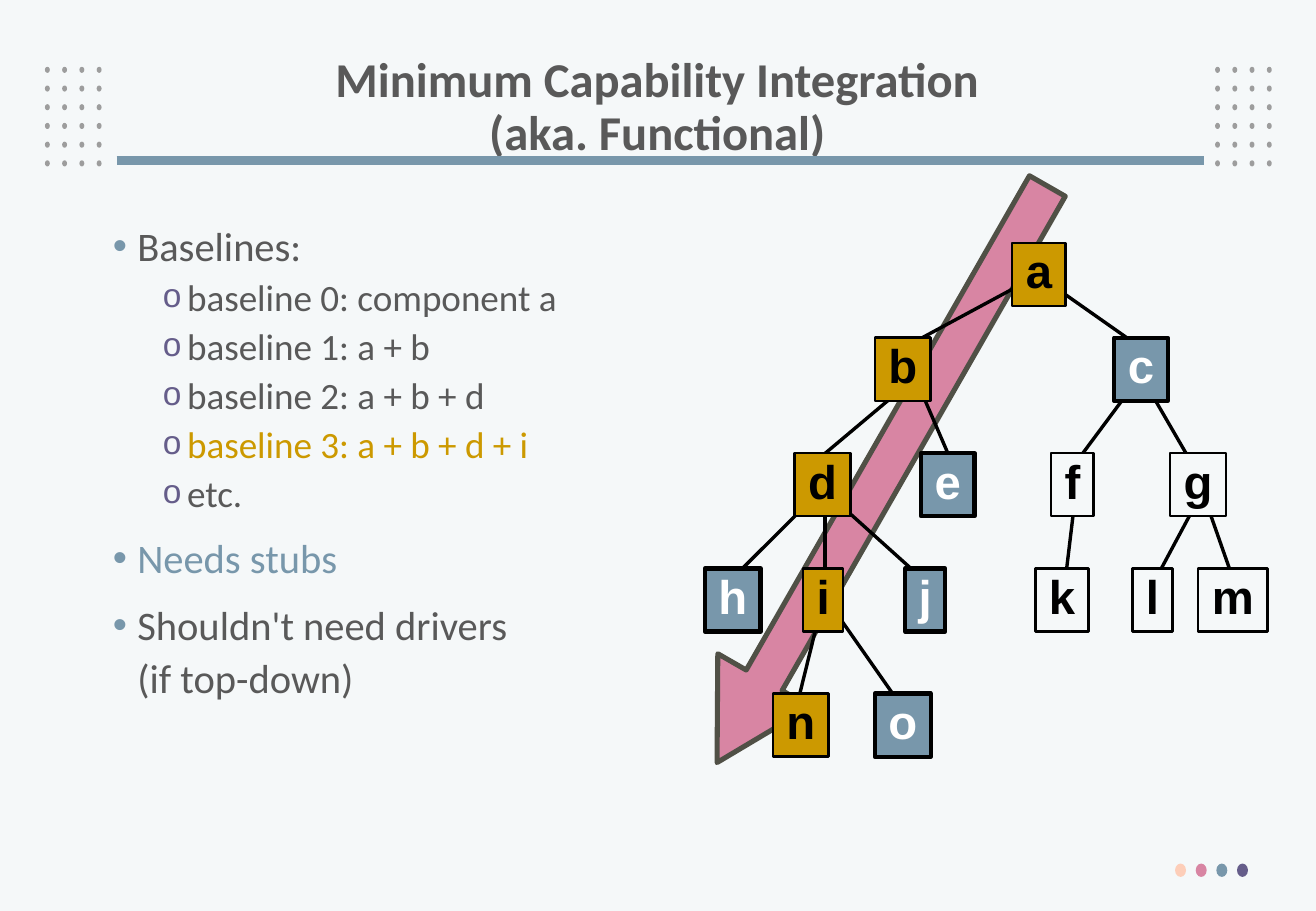
from copy import deepcopy
from dataclasses import dataclass

from lxml import etree
from pptx import Presentation
from pptx import util as u
from pptx.dml import color
from pptx.enum import shapes, text
from pptx.oxml import ns


@dataclass(frozen=True)
class Theme:
    paper: str = "F5F8F9"
    ink: str = "595959"
    blue: str = "7897AB"
    gold: str = "CC9900"
    pink: str = "D885A3"
    plum: str = "655D8A"
    peach: str = "FDCEB9"
    gray: str = "9D9D9D"
    edge: str = "505046"
    black: str = "000000"
    white: str = "FFFFFF"
    font: str = "Calibri"
    label: str = "Arial"
    head: float = 28.8
    main: float = 24
    sub: float = 22
    node: float = 28


def rgb(code):
    return color.RGBColor.from_string(code)


class Page:
    """One slide on a grid of 0.1 inch columns and rows."""
    cell = u.Inches(0.1)

    def __init__(self, deck, theme):
        self.theme = theme
        self.slide = deck.slides.add_slide(deck.slide_layouts[1])
        fill = self.slide.background.fill
        fill.solid()
        fill.fore_color.rgb = rgb(theme.paper)

    def grid(self, *nums):
        return [round(n * self.cell) for n in nums]

    def style(self, para, size, code, font, bold=False):
        for run in para.runs:
            run.font.size = u.Pt(size)
            run.font.name = font
            run.font.bold = bold
            run.font.color.rgb = rgb(code)
        for brk in para._p.findall(ns.qn("a:br")):
            brk.append(deepcopy(para.runs[0]._r.rPr))

    def place(self, item, col, row, wide, high):
        item.left, item.top, item.width, item.height = self.grid(
            col, row, wide, high)

    def title(self, words, *area):
        item = self.slide.shapes.title
        self.place(item, *area)
        frame = item.text_frame
        frame.auto_size = text.MSO_AUTO_SIZE.NONE
        frame.vertical_anchor = text.MSO_ANCHOR.MIDDLE
        para = frame.paragraphs[0]
        para.text = words
        para.alignment = text.PP_ALIGN.CENTER
        para.line_spacing = 0.9
        self.style(para, self.theme.head, self.theme.ink, self.theme.font, True)

    def bullet(self, para, level):
        mark, code, left, size = (
            ("•", self.theme.blue, 0.2, 100),
            ("o", self.theme.plum, 0.61, 90))[level]
        props = para._p.get_or_add_pPr()
        props.set("marL", str(u.Inches(left)))
        props.set("indent", str(-u.Inches(0.2)))
        tint = etree.SubElement(props, ns.qn("a:buClr"))
        etree.SubElement(tint, ns.qn("a:srgbClr"), val=code)
        etree.SubElement(props, ns.qn("a:buSzPct"), val=str(size * 1000))
        etree.SubElement(props, ns.qn("a:buFont"), typeface=self.theme.label)
        etree.SubElement(props, ns.qn("a:buChar"), char=mark)

    def body(self, items, *area):
        item = self.slide.placeholders[1]
        self.place(item, *area)
        frame = item.text_frame
        frame.auto_size = text.MSO_AUTO_SIZE.NONE
        frame.vertical_anchor = text.MSO_ANCHOR.TOP
        for num, (level, words, code) in enumerate(items):
            para = frame.add_paragraph() if num else frame.paragraphs[0]
            para.text = words
            para.level = level
            para.line_spacing = 1.1
            para.space_before = u.Pt(0 if level else 8.1)
            self.bullet(para, level)
            size = self.theme.sub if level else self.theme.main
            self.style(para, size, code, self.theme.font)

    def shape(self, kind, area, code, line=None, width=1.5):
        item = self.slide.shapes.add_shape(kind, *self.grid(*area))
        item.shadow.inherit = False
        item.fill.solid()
        item.fill.fore_color.rgb = rgb(code)
        if line:
            item.line.color.rgb = rgb(line)
            item.line.width = u.Pt(width)
        else:
            item.line.fill.background()
        return item

    def dot(self, col, row, wide, high, code):
        self.shape(shapes.MSO_SHAPE.OVAL, (col, row, wide, high), code)

    def line(self, ends, code, width):
        item = self.slide.shapes.add_connector(
            shapes.MSO_CONNECTOR.STRAIGHT, *self.grid(*ends))
        item.line.color.rgb = rgb(code)
        item.line.width = u.Pt(width)
        etree.SubElement(item._element.spPr, ns.qn("a:effectLst"))

    def node(self, name, col, row, wide, code):
        blue = code == self.theme.blue
        item = self.shape(shapes.MSO_SHAPE.RECTANGLE, (col, row, wide, 5.2),
                          code, self.theme.black, 2.5 if blue else 1.5)
        frame = item.text_frame
        frame.word_wrap = False
        frame.vertical_anchor = text.MSO_ANCHOR.MIDDLE
        para = frame.paragraphs[0]
        para.text = name
        para.alignment = text.PP_ALIGN.CENTER
        para.line_spacing = 0.85
        ink = self.theme.white if blue else self.theme.black
        self.style(para, self.theme.node, ink, self.theme.label, True)


def main():
    look = Theme()
    deck = Presentation()
    deck.slide_width, deck.slide_height = u.Inches(10.83), u.Inches(7.5)
    page = Page(deck, look)

    # Dot fields, rule and corner dots
    for left in (3.7, 100):
        for row in range(6):
            for col in range(4):
                page.dot(left + 1.42 * col, 5.5 + 1.54 * row, 0.4, 0.5,
                         look.gray)
    page.line((9.6, 13.2, 99.1, 13.2), look.blue, 5.25)
    for num, code in enumerate((look.peach, look.pink, look.blue, look.plum)):
        page.dot(96.7 + 1.7 * num, 71.1, 0.9, 1.1, code)

    # Title and list
    page.title("Minimum Capability Integration\v(aka. Functional)",
               7.4, 4, 93.4, 9.8)
    page.body((
        (0, "Baselines:", look.ink),
        (1, "baseline 0: component a", look.ink),
        (1, "baseline 1: a + b", look.ink),
        (1, "baseline 2: a + b + d", look.ink),
        (1, "baseline 3: a + b + d + i", look.gold),
        (1, "etc.", look.ink),
        (0, "Needs stubs", look.blue),
        (0, "Shouldn't need drivers\v(if top-down)", look.ink),
    ), 8.3, 17.3, 92.6, 50.3)

    # Direction arrow
    arrow = page.shape(shapes.MSO_SHAPE.DOWN_ARROW, (68.2, 11.7, 8.8, 54.7),
                       look.pink, look.edge, 3)
    arrow.rotation = 29.8
    arrow.adjustments[0], arrow.adjustments[1] = 0.387, 0.887

    # Tree links, parent to child
    for ends in (
        (84.8, 23, 74.6, 28.5), (85.9, 23, 94, 28.7),        # a: b, c
        (74, 32.2, 67.1, 38), (75.8, 32.2, 78.3, 38),        # b: d, e
        (94.1, 30.6, 88.6, 38), (94, 31.1, 98, 38),          # c: f, g
        (67.6, 40.3, 59.9, 48), (67.9, 41.7, 67.9, 47.5),    # d: h, i
        (69.3, 41.7, 76.3, 48), (88.5, 40.8, 87.7, 47.5),    # d: j; f: k
        (98.3, 41.7, 95.2, 47.5), (99, 40.6, 101.7, 48.3),   # g: l, m
        (67.7, 49.5, 65.6, 58), (68, 49.3, 74.3, 58.3),      # i: n, o
    ):
        page.line(ends, look.black, 2)

    # Tree nodes, level by level: name, column, width, fill
    gold, blue, plain = look.gold, look.blue, look.paper
    tree = {
        20: (("a", 83.3, 4.4, gold),),
        27.8: (("b", 72, 4.6, gold), ("c", 91.7, 4.4, blue)),
        37.3: (("d", 65.4, 4.6, gold), ("e", 75.8, 4.4, blue),
               ("f", 86.5, 3.5, plain), ("g", 96.3, 4.6, plain)),
        46.8: (("h", 58, 4.6, blue), ("i", 66.1, 3.3, gold),
               ("j", 74.5, 3.3, blue), ("k", 85.2, 4.4, plain),
               ("l", 93.2, 3.3, plain), ("m", 98.6, 5.7, plain)),
        57.1: (("n", 63.6, 4.6, gold), ("o", 72, 4.6, blue)),
    }
    for row, nodes in tree.items():
        for name, col, wide, code in nodes:
            page.node(name, col, row, wide, code)

    deck.save("out.pptx")


if __name__ == "__main__":
    main()
